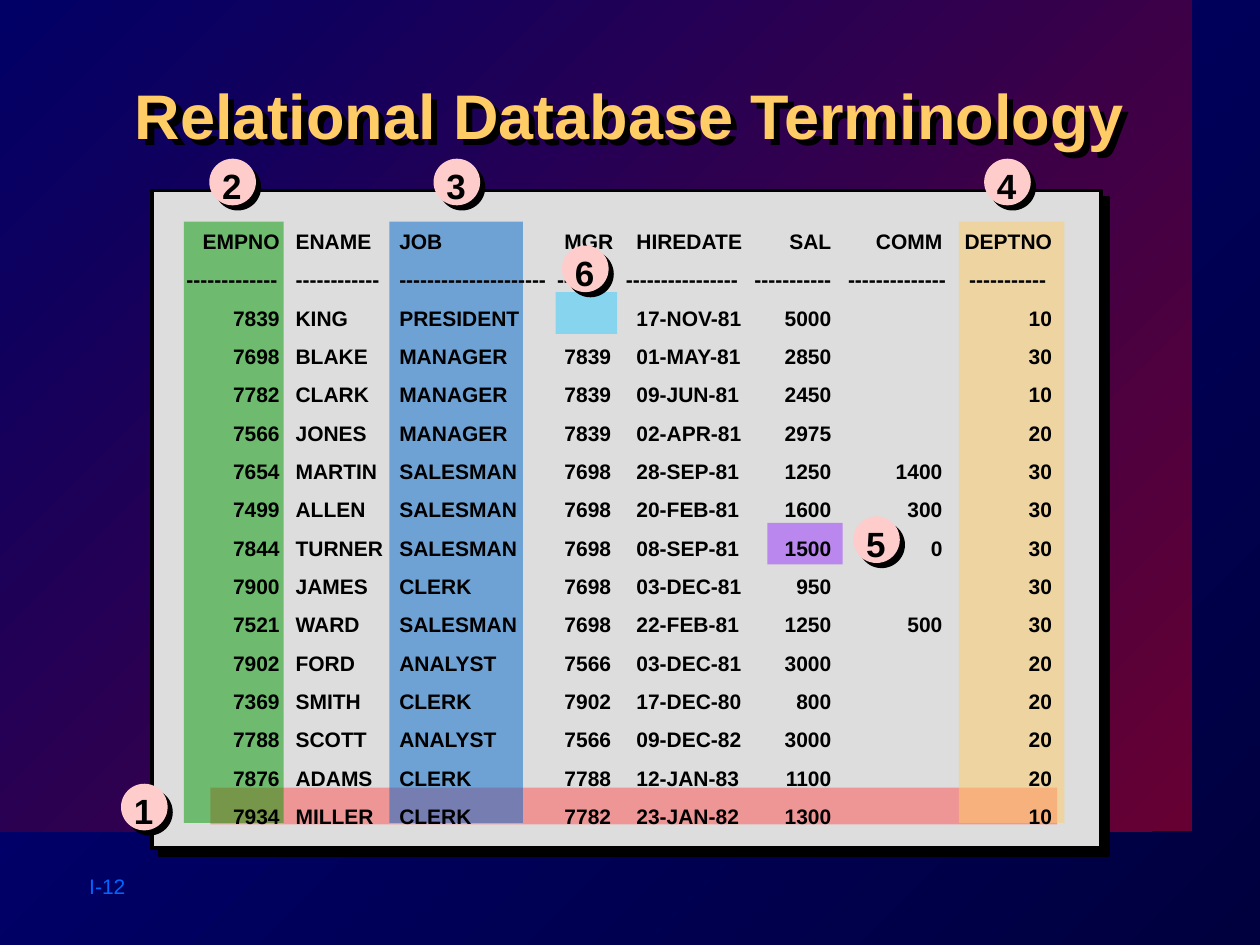
from lxml import etree
from pptx import Presentation
from pptx.dml.color import RGBColor
from pptx.enum import shapes, text
from pptx.oxml import ns
from pptx.util import Cm, Pt

BLACK = RGBColor(0x00, 0x00, 0x00)
GOLD = RGBColor(0xFF, 0xCC, 0x66)
PINK = RGBColor(0xFF, 0xCC, 0xCC)
GREY = RGBColor(0xDD, 0xDD, 0xDD)
LINK_BLUE = RGBColor(0x00, 0x66, 0xFF)
DARK_NAVY = RGBColor(0x00, 0x00, 0x3F)
NAVY = RGBColor(0x00, 0x00, 0x80)
WINE = RGBColor(0x66, 0x00, 0x33)
INDIGO = RGBColor(0x00, 0x00, 0x66)
RED = RGBColor(0xFF, 0x50, 0x50)
GREEN = RGBColor(0x00, 0x99, 0x00)
BLUE = RGBColor(0x00, 0x66, 0xCC)
PURPLE = RGBColor(0x99, 0x33, 0xFF)
SKY = RGBColor(0x33, 0xCC, 0xFF)

TITLE = "Relational Database Terminology"
PAGE_LABEL = "I-12"

HEADER = ("EMPNO", "ENAME", "JOB", "MGR", "HIREDATE", "SAL", "COMM", "DEPTNO")
DASH_COUNTS = (13, 12, 21, 8, 16, 11, 14, 11)
EMPLOYEES = [
    ("7839", "KING", "PRESIDENT", "", "17-NOV-81", "5000", "", "10"),
    ("7698", "BLAKE", "MANAGER", "7839", "01-MAY-81", "2850", "", "30"),
    ("7782", "CLARK", "MANAGER", "7839", "09-JUN-81", "2450", "", "10"),
    ("7566", "JONES", "MANAGER", "7839", "02-APR-81", "2975", "", "20"),
    ("7654", "MARTIN", "SALESMAN", "7698", "28-SEP-81", "1250", "1400", "30"),
    ("7499", "ALLEN", "SALESMAN", "7698", "20-FEB-81", "1600", "300", "30"),
    ("7844", "TURNER", "SALESMAN", "7698", "08-SEP-81", "1500", "0", "30"),
    ("7900", "JAMES", "CLERK", "7698", "03-DEC-81", "950", "", "30"),
    ("7521", "WARD", "SALESMAN", "7698", "22-FEB-81", "1250", "500", "30"),
    ("7902", "FORD", "ANALYST", "7566", "03-DEC-81", "3000", "", "20"),
    ("7369", "SMITH", "CLERK", "7902", "17-DEC-80", "800", "", "20"),
    ("7788", "SCOTT", "ANALYST", "7566", "09-DEC-82", "3000", "", "20"),
    ("7876", "ADAMS", "CLERK", "7788", "12-JAN-83", "1100", "", "20"),
    ("7934", "MILLER", "CLERK", "7782", "23-JAN-82", "1300", "", "10"),
]
# Tab stops in cm; numbers line up on the right, words on the left
ALIGNS = "rllllrrr"
DATA_STOPS = (1.88, 2.2, 4.29, 7.62, 9.07, 13.0, 15.24, 17.45)
DASH_STOPS = (1.83, 2.2, 4.29, 7.47, 8.86, 13.0, 15.31, 17.33)

COLUMN_TOP, COLUMN_HEIGHT, COLUMN_BADGE_TOP = 4.47, 12.12, 3.2
CELL_HEIGHT = 0.84
# Number, highlight colour, highlight (left, top, width, height), badge (left, top)
CALLOUTS = [
    ("1", RED, (4.24, 15.88, 17.07, 0.74), (2.44, 15.8)),
    ("2", GREEN, (3.71, COLUMN_TOP, 2.01, COLUMN_HEIGHT), (4.22, COLUMN_BADGE_TOP)),
    ("3", BLUE, (7.85, COLUMN_TOP, 2.69, COLUMN_HEIGHT), (8.74, COLUMN_BADGE_TOP)),
    ("4", GOLD, (19.33, COLUMN_TOP, 2.13, COLUMN_HEIGHT), (19.84, COLUMN_BADGE_TOP)),
    ("5", PURPLE, (15.47, 10.54, 1.52, CELL_HEIGHT), (17.2, 10.41)),
    ("6", SKY, (11.2, 5.89, 1.24, CELL_HEIGHT), (11.33, 4.95)),
]
BADGE_SIZE = 0.94


def add_child(parent, tag, **attributes):
    return etree.SubElement(parent, ns.qn(tag), **attributes)


def add_shadow(shape, distance):
    """Add a hard black shadow to the lower right; distance in points."""
    shape.shadow.inherit = False
    effects = shape._element.spPr.find(ns.qn("a:effectLst"))
    shadow = add_child(effects, "a:outerShdw", blurRad="0", dist=str(Pt(distance)),
                       dir="2700000", algn="ctr", rotWithShape="0")
    add_child(shadow, "a:srgbClr", val=str(BLACK))


def set_gradient(fill, start, end):
    fill.gradient()
    fill.gradient_angle = 135
    for stop, color in zip(fill.gradient_stops, (start, end)):
        stop.color.rgb = color


def add_shape(target, kind, box, color=None, opacity=None, shadow=None):
    shape = target.shapes.add_shape(kind, *map(Cm, box))
    shape.shadow.inherit = False
    shape.line.fill.background()
    if color is not None:
        shape.fill.solid()
        shape.fill.fore_color.rgb = color
    if opacity is not None:
        rgb = shape._element.spPr.find(".//" + ns.qn("a:srgbClr"))
        add_child(rgb, "a:alpha", val=str(opacity * 1000))
    if shadow is not None:
        add_shadow(shape, shadow)
    return shape


def write(para, content, size=12, color=BLACK, bold=True, align=None, before=None,
          spacing=None, stops=()):
    para.alignment = align
    para.space_before = before
    para.line_spacing = spacing
    if stops:
        tabs = add_child(para._p.get_or_add_pPr(), "a:tabLst")
        for position, side in zip(stops, ALIGNS):
            add_child(tabs, "a:tab", pos=str(Cm(position)), algn=side)
    span = para.add_run()
    span.text = content
    span.font.name = "Arial"
    span.font.size = Pt(size)
    span.font.bold = bold
    span.font.color.rgb = color


def add_text_frame(target, box, wrap=False):
    frame = target.shapes.add_textbox(*map(Cm, box)).text_frame
    frame.word_wrap = wrap
    return frame


def add_callout(page, number, color, highlight, badge):
    group = page.shapes.add_group_shape()
    left, top = badge
    add_shape(group, shapes.MSO_SHAPE.RECTANGLE, highlight, color, opacity=50)
    add_shape(group, shapes.MSO_SHAPE.OVAL, (left, top, BADGE_SIZE, BADGE_SIZE),
              PINK, shadow=4.2)
    frame = add_text_frame(group, (left, top - 0.18, 0.91, 1.27))
    write(frame.paragraphs[0], number, size=20, spacing=1.2,
          align=text.PP_ALIGN.CENTER)


def add_listing(page):
    frame = add_text_frame(page, (3.51, 4.48, 17.98, 12.37))
    dashes = ["-" * count for count in DASH_COUNTS]
    for index, row in enumerate([HEADER, dashes, *EMPLOYEES]):
        para = frame.paragraphs[0] if index == 0 else frame.add_paragraph()
        write(para, "\t" + "\t".join(row), before=Pt(7.5),
              stops=DASH_STOPS if row is dashes else DATA_STOPS)


def set_title(page):
    title = page.shapes.title
    title.left, title.top, title.width, title.height = map(Cm, (0.91, 1.42, 23.57, 2.44))
    title.fill.background()
    add_shadow(title, 5)
    title.text_frame.vertical_anchor = text.MSO_ANCHOR.TOP
    write(title.text_frame.paragraphs[0], TITLE, size=36, color=GOLD,
          align=text.PP_ALIGN.CENTER)
    # Bring the title in front of the backdrop
    title._element.getparent().append(title._element)


def main():
    deck = Presentation()
    deck.slide_width, deck.slide_height = Cm(25.4), Cm(19.05)
    page = deck.slides.add_slide(deck.slide_layouts[5])
    set_gradient(page.background.fill, DARK_NAVY, NAVY)

    backdrop = add_shape(page, shapes.MSO_SHAPE.RECTANGLE, (0, 0, 24.03, 16.76))
    set_gradient(backdrop.fill, WINE, INDIGO)
    label = add_text_frame(page, (1.55, 17.48, 2.69, 0.76))
    write(label.paragraphs[0], PAGE_LABEL, color=LINK_BLUE, bold=False)
    panel = add_shape(page, shapes.MSO_SHAPE.RECTANGLE, (3.07, 3.84, 19.13, 13.26),
                      GREY, shadow=5.7)
    panel.line.color.rgb = BLACK
    panel.line.width = Pt(2)

    set_title(page)
    for callout in CALLOUTS[:-1]:
        add_callout(page, *callout)
    add_listing(page)
    add_callout(page, *CALLOUTS[-1])
    deck.save("out.pptx")


if __name__ == "__main__":
    main()
